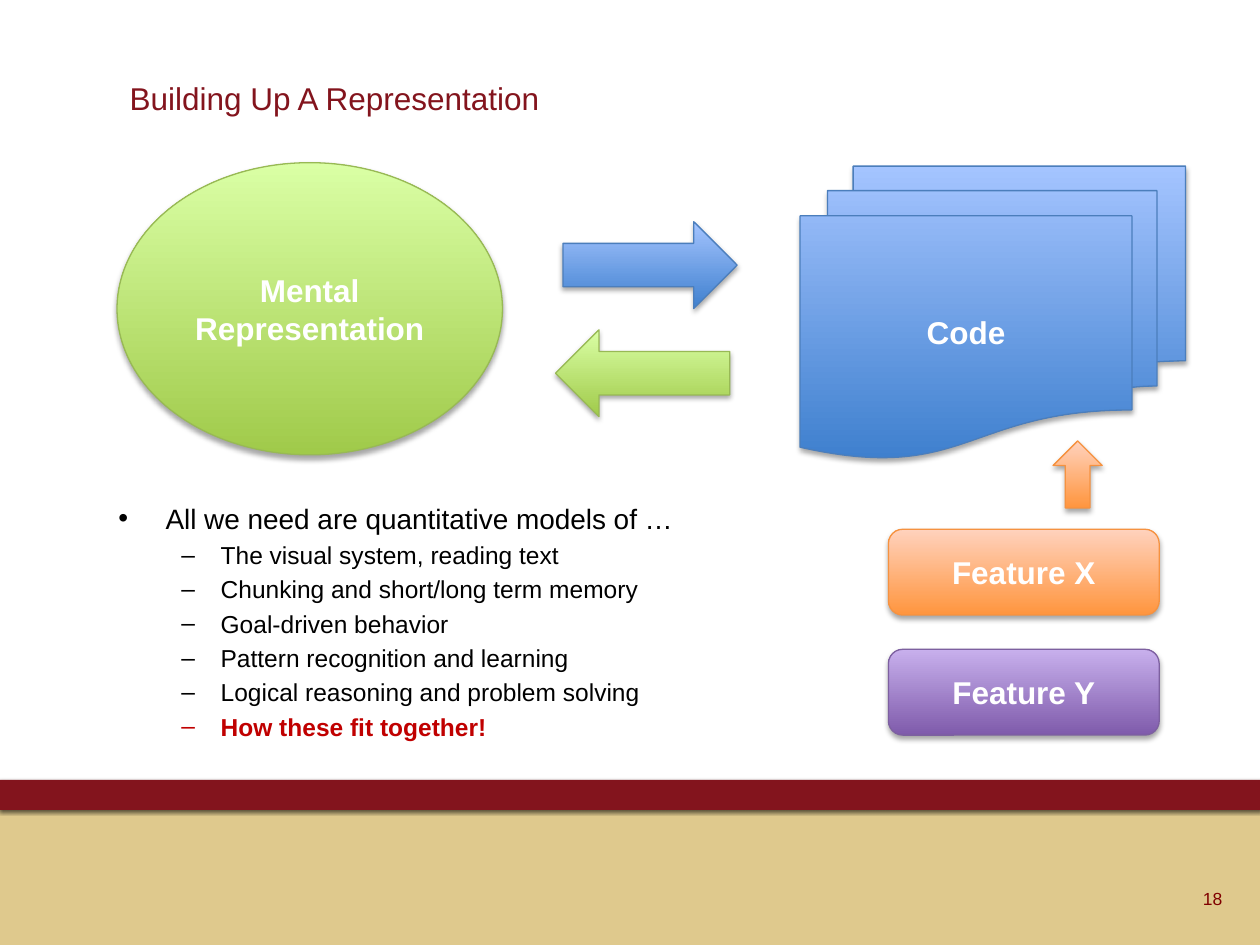
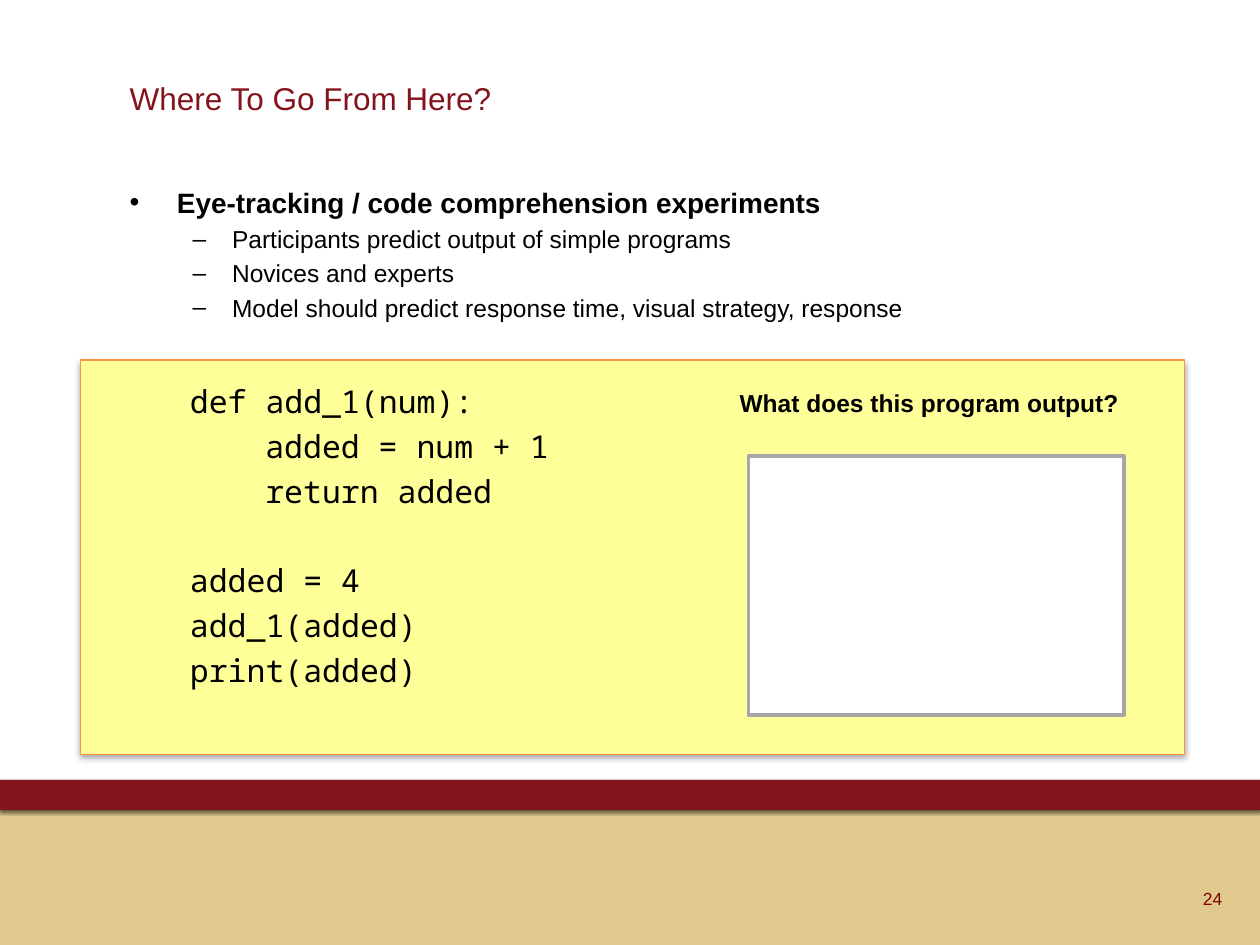
from collections import namedtuple

from lxml import etree
from pptx import Presentation
from pptx.dml.color import RGBColor
from pptx.enum.shapes import MSO_SHAPE
from pptx.enum.text import MSO_ANCHOR, MSO_AUTO_SIZE, PP_ALIGN
from pptx.oxml.ns import qn
from pptx.util import Cm, Pt

RECT = MSO_SHAPE.RECTANGLE
OVAL = MSO_SHAPE.OVAL
ROUNDED = MSO_SHAPE.ROUNDED_RECTANGLE
DOCUMENTS = MSO_SHAPE.FLOWCHART_MULTIDOCUMENT
RIGHT_ARROW = MSO_SHAPE.RIGHT_ARROW
LEFT_ARROW = MSO_SHAPE.LEFT_ARROW
UP_ARROW = MSO_SHAPE.UP_ARROW
TOP, MIDDLE = MSO_ANCHOR.TOP, MSO_ANCHOR.MIDDLE
LEFT, CENTER, RIGHT = PP_ALIGN.LEFT, PP_ALIGN.CENTER, PP_ALIGN.RIGHT
NO_AUTOFIT = MSO_AUTO_SIZE.NONE

COLORS = {
    "maroon": "83141D", "sand": "DFC98D", "number": "800000",
    "black": "000000", "white": "FFFFFF", "red": "C00000",
    "panel": "FFFF99", "panel_line": "F79646", "answer_line": "A6A6A6",
}
# Bottom colour, top colour and outline of each gradient
GRADIENTS = {
    "green": ("A0CA4A", "DAFFA5", "98B955"),
    "blue": ("3F80CE", "A4C4FF", "4B7EBC"),
    "orange": ("FF953E", "FFD2BD", "F69240"),
    "purple": ("7F5BAB", "C8B0ED", "7D60A0"),
}
BODY_FONT, CODE_FONT = "Arial", "Noto Sans Mono"

Box = namedtuple("Box", "left top width height")
Shadow = namedtuple("Shadow", "opacity blur distance angle")

SOFT_SHADOW = Shadow(35, 3.1, 1.8, 90)
BAND_SHADOW = Shadow(60, 2, 1, 105)

SLIDE = Box(0, 0, 25.4, 19.05)
TITLE = Box(2.36, 1.47, 20.29, 1.8)
NUMBER = Box(18.97, 17.6, 5.92, 1.02)


def rgb(value):
    return RGBColor.from_string(value)


def within(box, left, top, width, height):
    """Turn a position inside a box into a position on the slide."""
    return Box(box.left + left, box.top + top, width, height)


def lengths(box):
    return [Cm(value) for value in box]


def place(shape, box):
    shape.left, shape.top, shape.width, shape.height = lengths(box)


def format_runs(paragraph, size, color="black", bold=False, font=BODY_FONT):
    for run in paragraph.runs:
        run.font.name = font
        run.font.size = Pt(size)
        run.font.bold = bold
        run.font.color.rgb = rgb(COLORS[color])


def cast_shadow(shape, shadow):
    shape.shadow.inherit = False
    if shadow is None:
        return
    effects = shape._element.spPr.find(qn("a:effectLst"))
    outer = etree.SubElement(
        effects, qn("a:outerShdw"),
        blurRad=str(Pt(shadow.blur)), dist=str(Pt(shadow.distance)),
        dir=str(shadow.angle * 60000), rotWithShape="0")
    tint = etree.SubElement(outer, qn("a:srgbClr"), val=COLORS["black"])
    etree.SubElement(tint, qn("a:alpha"), val=str(shadow.opacity * 1000))


def add_flat(slide, box, fill, line=None, line_width=0.75, shadow=None):
    """Add a rectangle of one colour."""
    flat = slide.shapes.add_shape(RECT, *lengths(box))
    flat.fill.solid()
    flat.fill.fore_color.rgb = rgb(COLORS[fill])
    if line:
        flat.line.color.rgb = rgb(COLORS[line])
        flat.line.width = Pt(line_width)
    else:
        flat.line.fill.background()
    cast_shadow(flat, shadow)
    return flat


def add_glossy(slide, kind, box, gradient, label=""):
    """Add a shape with a vertical gradient and a bold white label."""
    glossy = slide.shapes.add_shape(kind, *lengths(box))
    bottom, top, outline = GRADIENTS[gradient]
    glossy.fill.gradient()
    glossy.fill.gradient_angle = 90
    for stop, color in zip(glossy.fill.gradient_stops, (bottom, top)):
        stop.color.rgb = rgb(color)
    glossy.line.color.rgb = rgb(outline)
    glossy.line.width = Pt(0.75)
    cast_shadow(glossy, SOFT_SHADOW)
    if label:
        frame = glossy.text_frame
        frame.text = label
        frame.vertical_anchor = MIDDLE
        for paragraph in frame.paragraphs:
            paragraph.alignment = CENTER
            format_runs(paragraph, 18, "white", bold=True)


def add_text(slide, box, text, anchor=TOP):
    frame = slide.shapes.add_textbox(*lengths(box)).text_frame
    frame.word_wrap = True
    frame.vertical_anchor = anchor
    frame.text = text
    return frame.paragraphs


def add_master_bands(prs, slide):
    """Draw the footer bands on a slide, then move them to the master."""
    bands = (
        add_flat(slide, Box(0, 16.33, SLIDE.width, 2.72), "sand"),
        add_flat(slide, Box(0, 15.72, 25.43, 0.61), "maroon", shadow=BAND_SHADOW),
    )
    for shape_id, band in enumerate(bands, start=100):
        band._element.nvSpPr.cNvPr.id = shape_id
        prs.slide_master.shapes._spTree.append(band._element)


def add_titled_slide(prs, title, number):
    slide = prs.slides.add_slide(prs.slide_layouts[1])
    heading = slide.shapes.title
    place(heading, TITLE)
    frame = heading.text_frame
    frame.text = title
    frame.auto_size = NO_AUTOFIT
    frame.vertical_anchor = TOP
    frame.paragraphs[0].alignment = LEFT
    format_runs(frame.paragraphs[0], 18, "maroon")

    page = add_text(slide, NUMBER, number, MIDDLE)[0]
    page.alignment = RIGHT
    format_runs(page, 10, "number")
    return slide


def fill_body(slide, box, lead, points, lead_bold=False):
    """Fill the body with a lead line and its sub-points."""
    body = slide.placeholders[1]
    place(body, box)
    frame = body.text_frame
    frame.text = "\n".join([lead, *points])
    frame.auto_size = NO_AUTOFIT
    lead_line, *point_lines = frame.paragraphs
    format_runs(lead_line, 16, bold=lead_bold)
    for line in point_lines:
        line.level = 1
        format_runs(line, 14)
    return point_lines


def draw_representation(slide, box):
    """Draw the exchange between mental representation and code."""
    add_glossy(slide, OVAL, within(box, 0, 0, 7.77, 5.89), "green",
               "Mental\nRepresentation")
    add_glossy(slide, DOCUMENTS, within(box, 13.77, 0.07, 7.77, 5.89), "blue", "Code")
    add_glossy(slide, RIGHT_ARROW, within(box, 8.99, 1.19, 3.51, 1.75), "blue")
    add_glossy(slide, LEFT_ARROW, within(box, 8.84, 3.37, 3.51, 1.75), "green")


def draw_features(slide, box):
    """Draw the stacked features and the arrow up to the code."""
    features = (("Feature X", "orange"), ("Feature Y", "purple"))
    for row, (label, gradient) in enumerate(features):
        add_glossy(slide, ROUNDED, within(box, 0, 1.78 + row * 2.42, box.width, 1.73),
                   gradient, label)
    add_glossy(slide, UP_ARROW, within(box, 3.32, 0, 0.99, 1.35), "orange")


def draw_program(slide, box):
    """Draw the code panel with its question and empty answer box."""
    add_flat(slide, box, "panel", "panel_line", shadow=SOFT_SHADOW)
    # Text, indent level, blank line above
    code = (
        ("def add_1(num):", 0, False),
        ("added = num + 1", 1, False),
        ("return added", 1, False),
        ("added = 4", 0, True),
        ("add_1(added)", 0, False),
        ("print(added)", 0, False),
    )
    lines = add_text(slide, within(box, 1.95, 0.31, 9.35, 7.29),
                     "\n".join(text for text, _, _ in code))
    for line, (_, indent, blank_above) in zip(lines, code):
        line.space_before = Pt(29.3 if blank_above else 4.1)
        line._p.get_or_add_pPr().set("marL", str(Cm(1.52 * indent)))
        format_runs(line, 18, font=CODE_FONT)

    question = add_text(slide, within(box, 13.03, 0.44, 8.61, 1.5),
                        "What does this program output?")[0]
    question.space_before = Pt(3.4)
    format_runs(question, 14, bold=True)
    add_flat(slide, within(box, 13.46, 1.93, 7.57, 5.23), "white", "answer_line", 2)


def build_representation_slide(prs):
    slide = add_titled_slide(prs, "Building Up A Representation", "18")
    points = fill_body(
        slide, Box(2.13, 9.98, 12.8, 5.38),
        "All we need are quantitative models of …",
        ["The visual system, reading text",
         "Chunking and short/long term memory",
         "Goal-driven behavior",
         "Pattern recognition and learning",
         "Logical reasoning and problem solving",
         "How these fit together!"])
    format_runs(points[-1], 14, "red", bold=True)
    draw_representation(slide, Box(2.36, 3.28, 21.54, 5.96))
    draw_features(slide, Box(17.91, 8.89, 5.46, 5.93))
    return slide


def build_experiment_slide(prs):
    slide = add_titled_slide(prs, "Where To Go From Here?", "24")
    fill_body(
        slide, Box(2.36, 3.61, 20.29, 3.66),
        "Eye-tracking / code comprehension experiments",
        ["Participants predict output of simple programs",
         "Novices and experts",
         "Model should predict response time, visual strategy, response"],
        lead_bold=True)
    draw_program(slide, Box(1.63, 7.26, 22.25, 7.95))


def main():
    prs = Presentation()
    prs.slide_width, prs.slide_height = Cm(SLIDE.width), Cm(SLIDE.height)
    first_slide = build_representation_slide(prs)
    add_master_bands(prs, first_slide)
    build_experiment_slide(prs)
    prs.save("out.pptx")


if __name__ == "__main__":
    main()
